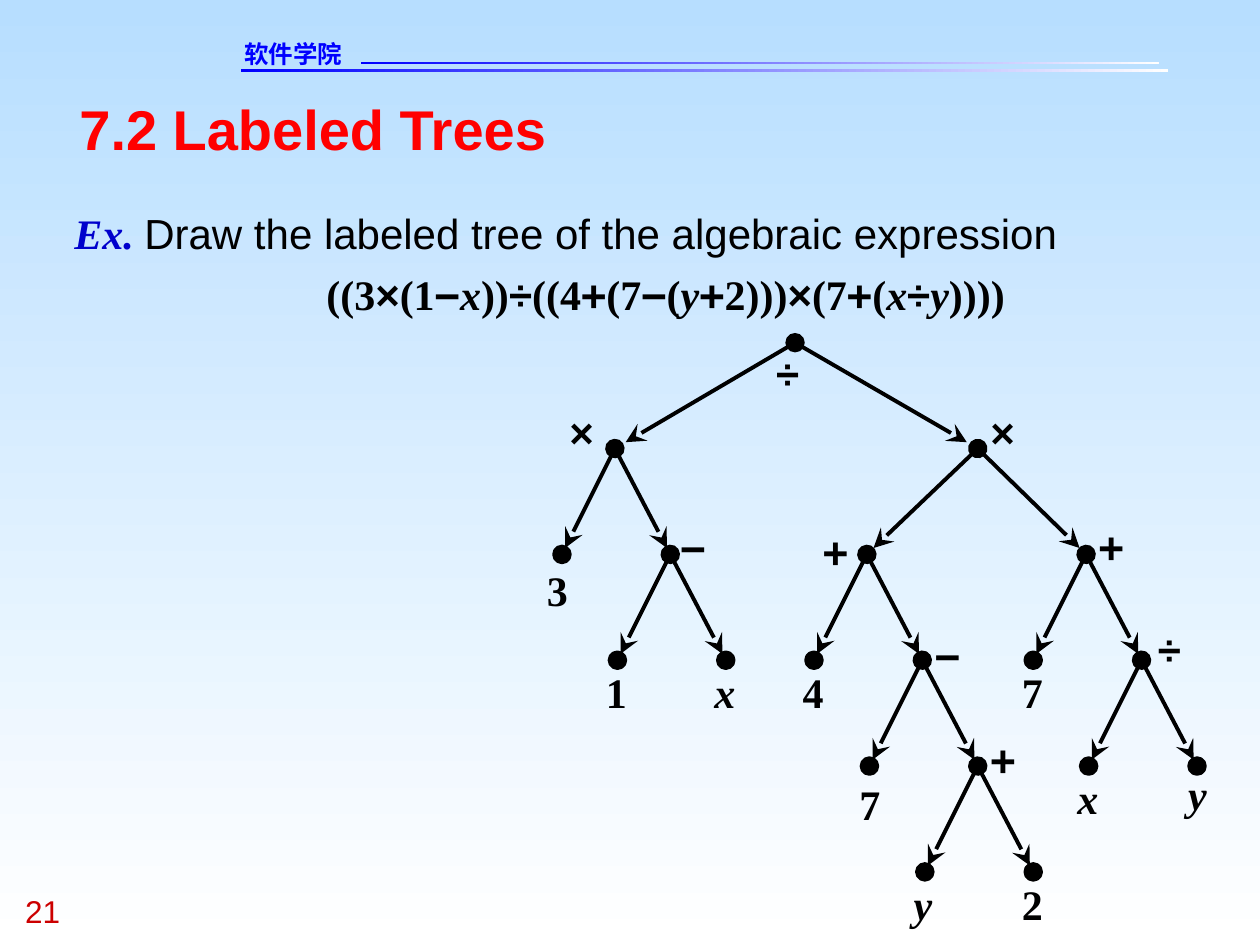
from collections import namedtuple
from itertools import groupby

from lxml.etree import SubElement
from pptx import Presentation
from pptx.dml.color import RGBColor
from pptx.enum.shapes import MSO_CONNECTOR as Connector, MSO_SHAPE as Shape
from pptx.enum.text import MSO_ANCHOR as Anchor
from pptx.oxml.ns import qn
from pptx.util import Inches, Pt

COLORS = {
    "sky": "B7DEFF", "white": "FFFFFF", "rule": "0000FF", "title": "FF0000",
    "example": "0000CC", "number": "CC0000", "ink": "000000",
}
CELL = Inches(0.1)
SERIF, SANS, MONO, WIDE = "Times New Roman", "Arial", "DejaVu Sans Mono", "DejaVu Sans"
SYMBOL_FONTS = {"+": MONO, "−": MONO, "×": SANS, "÷": SANS}
LABEL_WIDTHS = {"+": 1.9, "−": 2.8, "×": 2.7, "÷": 2.7, "y": 1.5}
LEVEL_ROWS = 8.4
SPREADS = [(14.3, 14.5), (8.8, 8.6), (4.2, 4.4)]
ARROW_REACH = 0.94

Box = namedtuple("Box", "left top width height")
Node = namedtuple("Node", "symbol shift children", defaults=[(-0.9, 0.5), ()])

TREE = Node("÷", (-1.5, 0.4), (
    Node("×", (-3.6, -3.3), (
        Node("3", (-1.2, 0.8)),
        Node("−", (0.8, -2.6), (Node("1"), Node("x"))))),
    Node("×", (1.0, -3.3), (
        Node("+", (-3.5, -2.3), (
            Node("4"),
            Node("−", (1.0, -2.4), (
                Node("7", (-0.8, 1.0)),
                Node("+", (1.0, -2.6), (Node("y"), Node("2"))))))),
        Node("+", (1.0, -2.7), (
            Node("7"),
            Node("÷", (1.3, -2.9), (Node("x"), Node("y", (-0.7, 0.2))))))))))


def color(name):
    """Return a named colour."""
    return RGBColor.from_string(COLORS[name])


def cells(*counts):
    """Turn grid counts into slide lengths."""
    return [round(count * CELL) for count in counts]


def inside(box, left, top, width, height):
    """Return a part of a box from shares of its size."""
    return Box(box.left + left * box.width, box.top + top * box.height,
               width * box.width, height * box.height)


def add_text_box(page, box, wrap=True):
    """Add a text box without margins and return its frame."""
    frame = page.shapes.add_textbox(*cells(*box)).text_frame
    frame.margin_left = frame.margin_right = frame.margin_top = frame.margin_bottom = 0
    frame.word_wrap = wrap
    return frame


def add_span(para, text, size, font, tint, bold=False, italic=False):
    """Add one formatted run to a paragraph."""
    span = para.add_run()
    span.text = text
    span.font.size, span.font.name = Pt(size), font
    span.font.bold, span.font.italic = bold, italic
    span.font.color.rgb = color(tint)
    return span


def add_math(para, text):
    """Write an expression with a font for each kind of symbol."""
    def style(char):
        return SYMBOL_FONTS.get(char, SERIF), char in "xy"
    for (font, italic), chars in groupby(text, style):
        add_span(para, "".join(chars), 24, font, "ink", True, italic)


def fill_gradient(fill, first, last, angle):
    """Fill with a two-colour gradient."""
    fill.gradient()
    fill.gradient_angle = angle
    for stop, name in zip(fill.gradient_stops, (first, last)):
        stop.color.rgb = color(name)


def draw_header(page, box):
    """Draw the school name and its two fading rules."""
    for left, top, width in ((0, 0.92, 1), (0.13, 0.69, 0.86)):
        rule = page.shapes.add_shape(
            Shape.RECTANGLE, *cells(*inside(box, left, top, width, 0.08)))
        rule.shadow.inherit = False
        rule.line.fill.background()
        fill_gradient(rule.fill, "rule", "white", 0)
    frame = add_text_box(page, inside(box, 0.004, 0, 0.2, 0.88))
    span = add_span(frame.paragraphs[0], "软件学院", 14, WIDE, "rule", True)
    SubElement(span.font._element, qn("a:ea"), typeface=WIDE)


def draw_title(page, box):
    """Write the slide title."""
    frame = add_text_box(page, box)
    frame.vertical_anchor = Anchor.BOTTOM
    add_span(frame.paragraphs[0], "7.2 Labeled Trees", 32, SANS, "title", True)


def draw_example(page, box):
    """Write the task and the expression below it."""
    frame = add_text_box(page, box)
    task, expression = frame.paragraphs[0], frame.add_paragraph()
    task.line_spacing = expression.line_spacing = 1.2
    add_span(task, "Ex. ", 24, SERIF, "example", True, True)
    add_span(task, "Draw the labeled tree of the algebraic expression", 24, SANS, "ink")
    expression._p.get_or_add_pPr().set("marL", str(Inches(2)))
    add_math(expression, "((3×(1−x))÷((4+(7−(y+2)))×(7+(x÷y))))")


def draw_arrow(page, start, end, dotted):
    """Draw an edge, with a dot at its start if asked."""
    edge = page.shapes.add_connector(Connector.STRAIGHT, *cells(*start, *end))
    edge.line.width = Pt(2.25)
    edge.line.color.rgb = color("ink")
    line = edge.line._get_or_add_ln()
    if dotted:
        SubElement(line, qn("a:headEnd"), type="oval", w="lg", len="lg")
    SubElement(line, qn("a:tailEnd"), type="stealth", w="lg", len="lg")
    SubElement(edge._element.spPr, qn("a:effectLst"))


def draw_leaf(page, column, row):
    """Draw the dot of a leaf."""
    dot = page.shapes.add_shape(Shape.OVAL, *cells(column - 0.6, row - 0.6, 1.2, 1.2))
    dot.shadow.inherit = False
    dot.fill.solid()
    dot.fill.fore_color.rgb = dot.line.color.rgb = color("ink")
    dot.line.width = Pt(2.5)


def draw_tree(page, node, column, row, depth=0):
    """Draw a node with its label and everything below it."""
    across, down = node.shift
    label = Box(column + across, row + down, LABEL_WIDTHS.get(node.symbol, 1.7), 4)
    add_math(add_text_box(page, label, False).paragraphs[0], node.symbol)
    if not node.children:
        draw_leaf(page, column, row)
        return
    left, right = SPREADS[min(depth, len(SPREADS) - 1)]
    if depth == 1 and not node.children[0].children:
        left, right = SPREADS[-1]
    for child, step in zip(node.children, (-left, right)):
        end = column + step * ARROW_REACH, row + LEVEL_ROWS * ARROW_REACH
        draw_arrow(page, (column, row), end, step < 0)
        draw_tree(page, child, column + step, row + LEVEL_ROWS, depth + 1)


def draw_number(page, box):
    """Write the page number."""
    add_span(add_text_box(page, box).paragraphs[0], "21", 18, SANS, "number")


def main():
    """Build and save the slide."""
    deck = Presentation()
    deck.slide_width, deck.slide_height = cells(100, 75)
    page = deck.slides.add_slide(deck.slide_layouts[6])
    fill_gradient(page.background.fill, "sky", "white", 270)
    draw_header(page, Box(19.1, 3.1, 73.6, 2.6))
    draw_title(page, Box(6.3, 7.5, 87.5, 5.3))
    draw_example(page, Box(5.9, 15.7, 88.4, 9.6))
    draw_tree(page, TREE, 63.1, 27.2)
    draw_number(page, Box(2, 70.8, 7.5, 3))
    deck.save("out.pptx")


if __name__ == "__main__":
    main()
